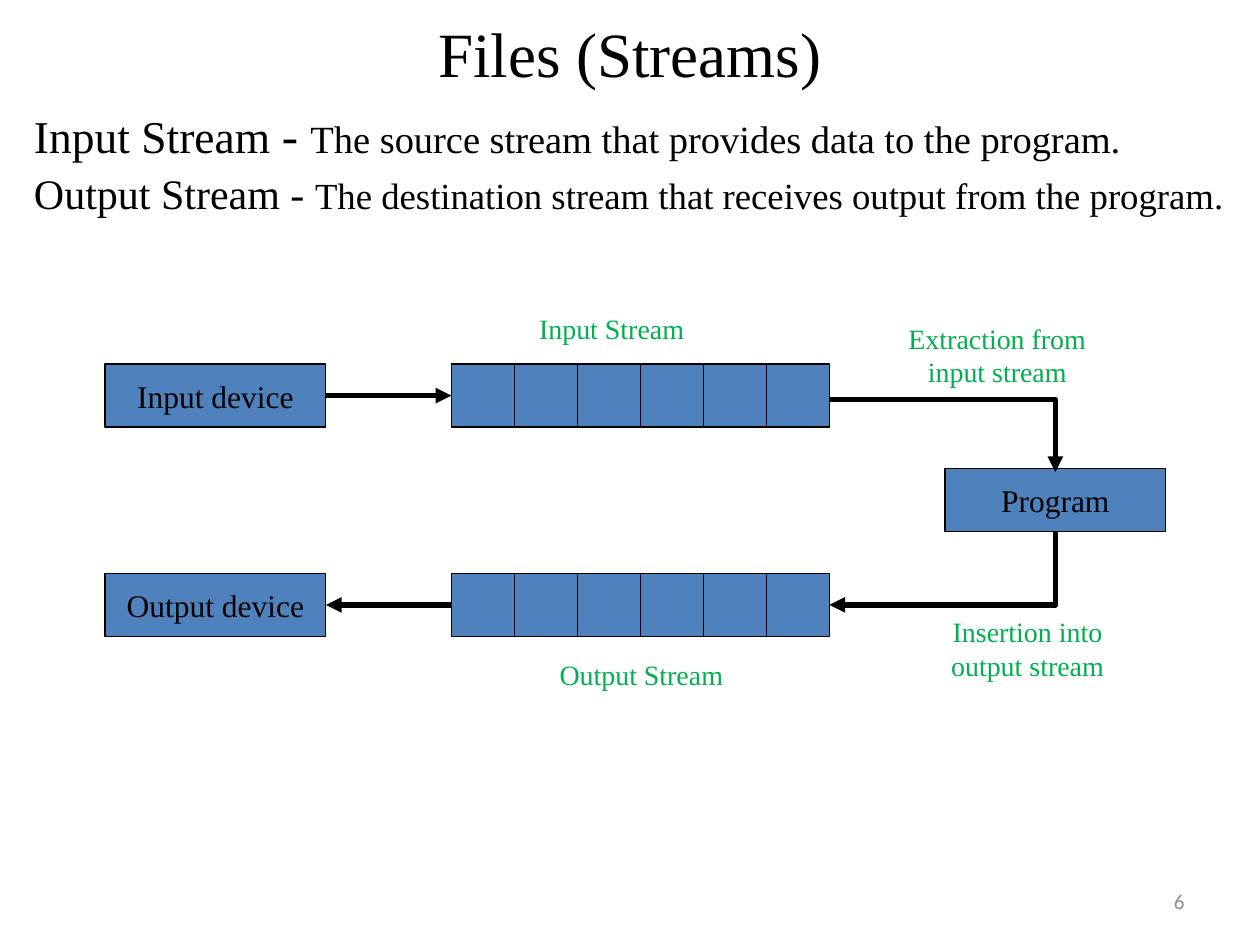
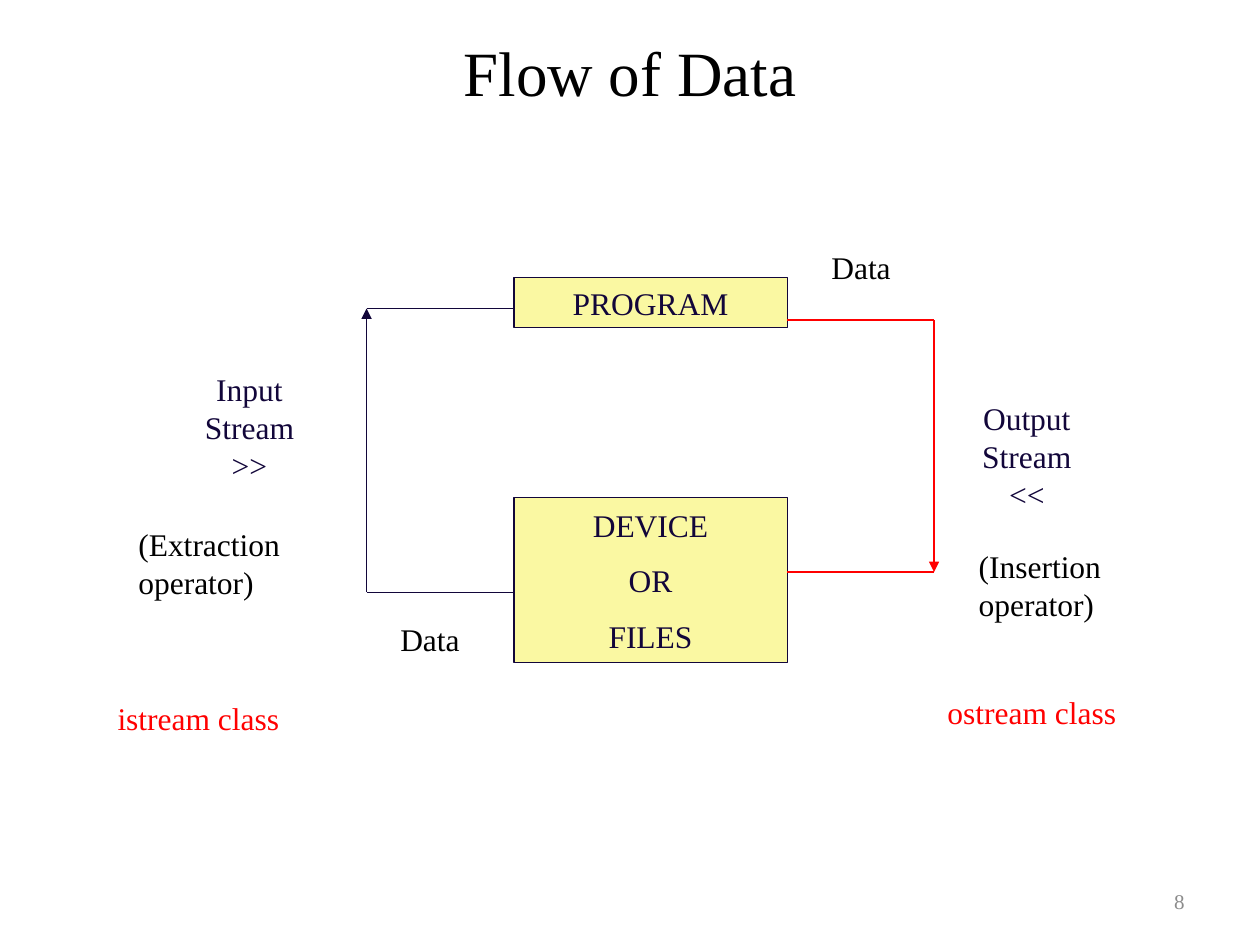
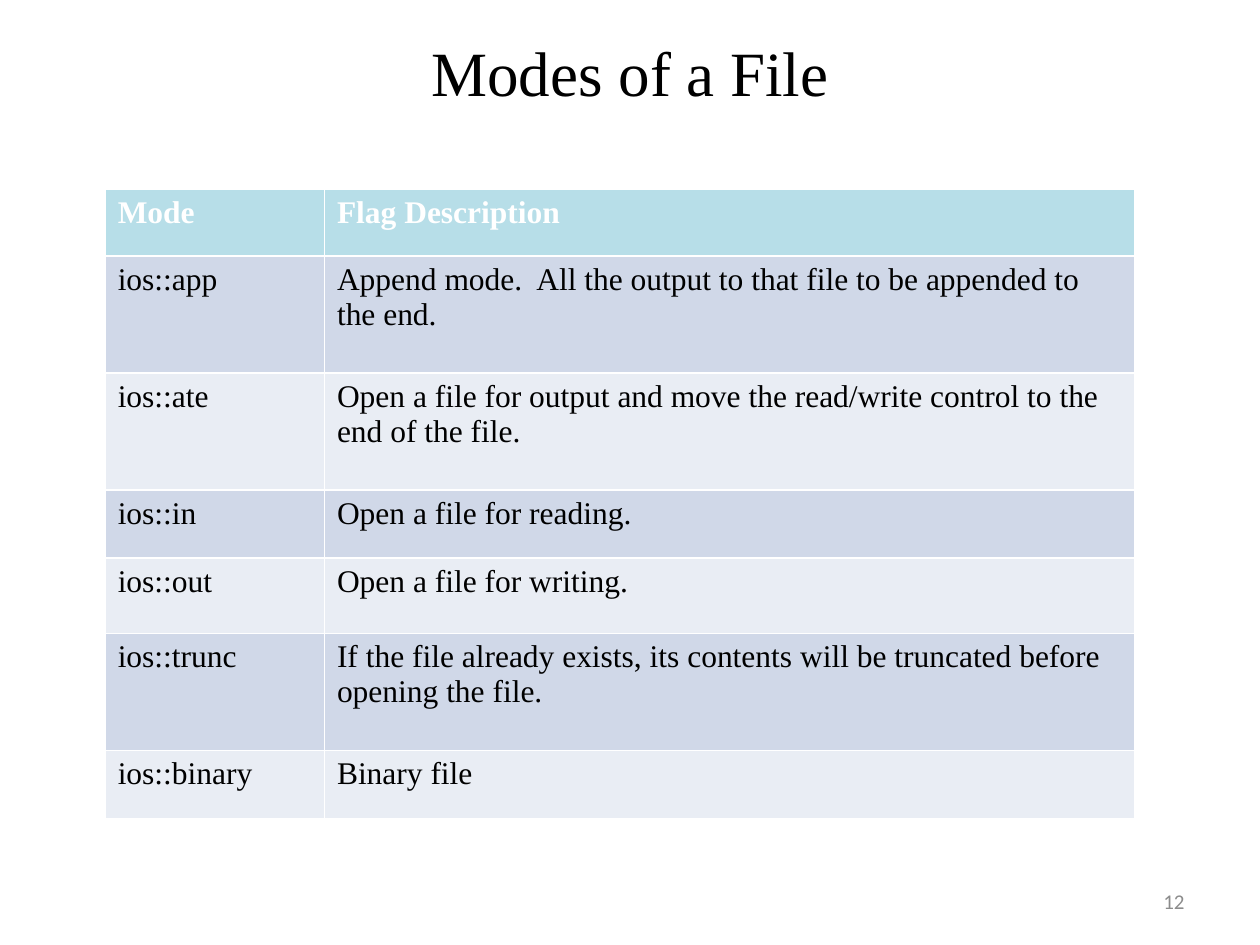
from lxml import etree
from pptx import Presentation
from pptx.dml.color import RGBColor
from pptx.enum import shapes, text
from pptx.oxml.ns import qn
from pptx.util import Cm, Pt

SERIF, SANS = "Times New Roman", "Calibri"
BLACK, GREY, WHITE = "000000", "8C8C8C", "FFFFFF"
BLUE, GREEN = "4F81BD", "00B050"
NAVY, YELLOW, RED = "12063A", "FAF8A2", "FF0000"
HEADER_FILL, BAND_FILLS = "B7DEE8", ("D0D8E8", "E9EDF4")
LEFT, CENTER, RIGHT = text.PP_ALIGN.LEFT, text.PP_ALIGN.CENTER, text.PP_ALIGN.RIGHT
TITLE_AND_BODY, TITLE_ONLY = 1, 5
MODES = [
    ("Mode", "Flag Description"),
    ("ios::app", "Append mode.  All the output to that file to be appended to the end."),
    ("ios::ate", "Open a file for output and move the read/write control to the end of the file."),
    ("ios::in", "Open a file for reading."),
    ("ios::out", "Open a file for writing."),
    ("ios::trunc", "If the file already exists, its contents will be truncated before opening the file."),
    ("ios::binary", "Binary file"),
]


def rgb(color):
    return RGBColor.from_string(color)


def style_font(font, size, color=BLACK, name=SERIF, bold=False):
    font.size, font.name, font.bold = Pt(size), name, bold
    font.color.rgb = rgb(color)


def write(frame, words, size, color=BLACK, align=CENTER, name=SERIF, gap=0):
    """Fill a text frame, one paragraph per line, with gap points between them."""
    frame.text = words
    for index, paragraph in enumerate(frame.paragraphs):
        paragraph.alignment = align
        if index and gap:
            paragraph.space_before = Pt(gap)
        for run in paragraph.runs:
            style_font(run.font, size, color, name)


def place(shape, left, top, width, height):
    shape.left, shape.top = Cm(left), Cm(top)
    shape.width, shape.height = Cm(width), Cm(height)


def start_slide(prs, layout, title, number, title_top=0.76, title_height=1.35, number_font=SANS):
    """Add a slide with its title and page number."""
    slide = prs.slides.add_slide(prs.slide_layouts[layout])
    heading = slide.shapes.title
    place(heading, 1.27, title_top, 22.86, title_height)
    write(heading.text_frame, title, 36)
    heading.text_frame.auto_size = text.MSO_AUTO_SIZE.NONE
    page = slide.shapes.add_textbox(Cm(18.2), Cm(17.65), Cm(5.93), Cm(1.02)).text_frame
    page.word_wrap = True
    page.vertical_anchor = text.MSO_ANCHOR.MIDDLE
    write(page, str(number), 12, GREY, RIGHT, number_font)
    return slide


def add_box(slide, left, top, width, height, fill, line, words="", gap=0):
    box = slide.shapes.add_shape(
        shapes.MSO_SHAPE.RECTANGLE, Cm(left), Cm(top), Cm(width), Cm(height))
    box.shadow.inherit = False
    box.fill.solid()
    box.fill.fore_color.rgb = rgb(fill)
    box.line.color.rgb = rgb(line)
    box.line.width = Pt(0.75)
    if words:
        box.text_frame.vertical_anchor = text.MSO_ANCHOR.MIDDLE
        write(box.text_frame, words, 18, line, gap=gap)


def add_label(slide, left, top, width, height, words, size=18, color=BLACK, align=LEFT):
    label = slide.shapes.add_textbox(Cm(left), Cm(top), Cm(width), Cm(height)).text_frame
    label.word_wrap = False
    label.auto_size = text.MSO_AUTO_SIZE.SHAPE_TO_FIT_TEXT
    write(label, words, size, color, align)


def add_line(slide, start, end, color, weight, arrow=None, elbow=False):
    """Join two points; arrow is "headEnd" (at start) or "tailEnd" (at end).

    An elbow leaves start horizontally and meets end vertically.
    """
    kind = shapes.MSO_CONNECTOR.ELBOW if elbow else shapes.MSO_CONNECTOR.STRAIGHT
    points = [Cm(value) for value in (*start, *end)]
    line = slide.shapes.add_connector(kind, *points)
    line.line.color.rgb = rgb(color)
    line.line.width = Pt(weight)
    properties = line._element.spPr
    if elbow:
        properties.find(qn("a:prstGeom")).set("prst", "bentConnector2")
    if arrow:
        etree.SubElement(properties.find(qn("a:ln")), qn(f"a:{arrow}"), type="triangle")
    etree.SubElement(properties, qn("a:effectLst"))


def add_definitions(slide, definitions):
    """Fill the body with (term, size), (dash, size), (meaning, size) lines."""
    body = slide.placeholders[1]
    place(body, 0.43, 2.12, 24.55, 15.45)
    frame = body.text_frame
    frame.auto_size = text.MSO_AUTO_SIZE.NONE
    frame.text = "\n".join("" for _ in definitions)
    for paragraph, parts in zip(frame.paragraphs, definitions):
        paragraph.line_spacing = 0.9
        etree.SubElement(paragraph._p.get_or_add_pPr(), qn("a:buNone"))
        for words, size in parts:
            run = paragraph.add_run()
            run.text = words
            style_font(run.font, size)


def build_streams(prs):
    slide = start_slide(prs, TITLE_AND_BODY, "Files (Streams)", 6, 0.64, 0.84)
    add_definitions(slide, [
        [("Input Stream ", 26), ("- ", 28),
         ("The source stream that provides data to the program.", 22)],
        [("Output Stream - ", 24),
         ("The destination stream that receives output from the program.", 21)],
    ])
    device_left, device_width, cell = 2.12, 4.45, 1.27
    device_right, buffer_left = device_left + device_width, 9.1
    buffer_right = buffer_left + 6 * cell
    input_top, program_top, output_top = 7.34, 9.45, 11.56
    program_left = 19.05
    program_middle = program_left + device_width / 2

    for left, top, words in (
        (device_left, input_top, "Input device"),
        (device_left, output_top, "Output device"),
        (program_left, program_top, "Program"),
    ):
        add_box(slide, left, top, device_width, cell, BLUE, BLACK, words)
    for top in (input_top, output_top):
        for index in range(6):
            add_box(slide, buffer_left + index * cell, top, cell, cell, BLUE, BLACK)

    input_y, output_y = input_top + cell / 2, output_top + cell / 2
    add_line(slide, (device_right, input_y), (buffer_left, input_y), BLACK, 3, "tailEnd")
    add_line(slide, (buffer_left, output_y), (device_right, output_y), BLACK, 3, "tailEnd")
    add_line(slide, (buffer_right, 8.05), (program_middle, 9.52), BLACK, 3, "tailEnd", True)
    add_line(slide, (buffer_right, output_y), (program_middle, program_top + cell),
             BLACK, 3, "headEnd", True)

    for left, top, width, height, words in (
        (17.96, 6.35, 4.29, 1.63, "Extraction from\ninput stream"),
        (18.85, 12.27, 3.73, 1.63, "Insertion into\noutput stream"),
        (10.59, 6.15, 3.48, 0.94, "Input Stream"),
        (11, 13.13, 3.86, 0.94, "Output Stream"),
    ):
        add_label(slide, left, top, width, height, words, 16, GREEN, CENTER)


def build_flow(prs):
    slide = start_slide(prs, TITLE_ONLY, "Flow of Data", 8, number_font=SERIF)
    box_left, box_width = 10.36, 5.51
    box_right = box_left + box_width
    add_box(slide, box_left, 5.59, box_width, 1.02, YELLOW, NAVY, "PROGRAM")
    add_box(slide, box_left, 10.03, box_width, 3.33, YELLOW, NAVY, "DEVICE\nOR\nFILES", 10)

    for box_edge, outer, source_y, target_y, color in (
        (box_left, 7.39, 11.94, 6.22, NAVY),
        (box_right, 18.83, 6.45, 11.53, RED),
    ):
        for y in (source_y, target_y):
            add_line(slide, (box_edge, y), (outer, y), color, 0.75)
        add_line(slide, (outer, source_y), (outer, target_y), color, 0.75, "tailEnd")

    for left, top, words in (
        (3.86, 7.34, "Input\nStream\n>>"),
        (19.53, 7.92, "Output\nStream\n<<"),
    ):
        add_label(slide, left, top, 2.34, 2.57, words, color=NAVY, align=CENTER)
    for left, top in ((7.82, 12.37), (16.51, 4.88)):
        add_label(slide, left, top, 1.73, 1.02, "Data")
    add_label(slide, 2.54, 10.46, 3.56, 1.8, "(Extraction\noperator)")
    add_label(slide, 19.48, 10.9, 3.2, 1.8, "(Insertion\noperator)")
    add_label(slide, 2.12, 13.97, 3.81, 1.02, "istream class", color=RED)
    add_label(slide, 18.85, 13.84, 3.96, 1.02, "ostream class", color=RED)


def build_modes(prs):
    slide = start_slide(prs, TITLE_ONLY, "Modes of a File", 12)
    widths = (4.42, 16.33)
    heights = (1.35, 2.36, 2.36, 1.37, 1.52, 2.36, 1.37)
    table = slide.shapes.add_table(
        len(MODES), len(widths), Cm(2.12), Cm(3.81), Cm(sum(widths)), Cm(sum(heights))).table
    for column, width in zip(table.columns, widths):
        column.width = Cm(width)
    for index, (row, height) in enumerate(zip(table.rows, heights)):
        row.height = Cm(height)
        is_header = index == 0
        for cell, words in zip(row.cells, MODES[index]):
            cell.fill.solid()
            cell.fill.fore_color.rgb = rgb(HEADER_FILL if is_header else BAND_FILLS[(index - 1) % 2])
            cell.text_frame.text = words
            run = cell.text_frame.paragraphs[0].runs[0]
            style_font(run.font, 18, WHITE if is_header else BLACK, bold=is_header)


def main():
    prs = Presentation()
    prs.slide_width, prs.slide_height = Cm(25.4), Cm(19.05)
    build_streams(prs)
    build_flow(prs)
    build_modes(prs)
    prs.save("out.pptx")


if __name__ == "__main__":
    main()
